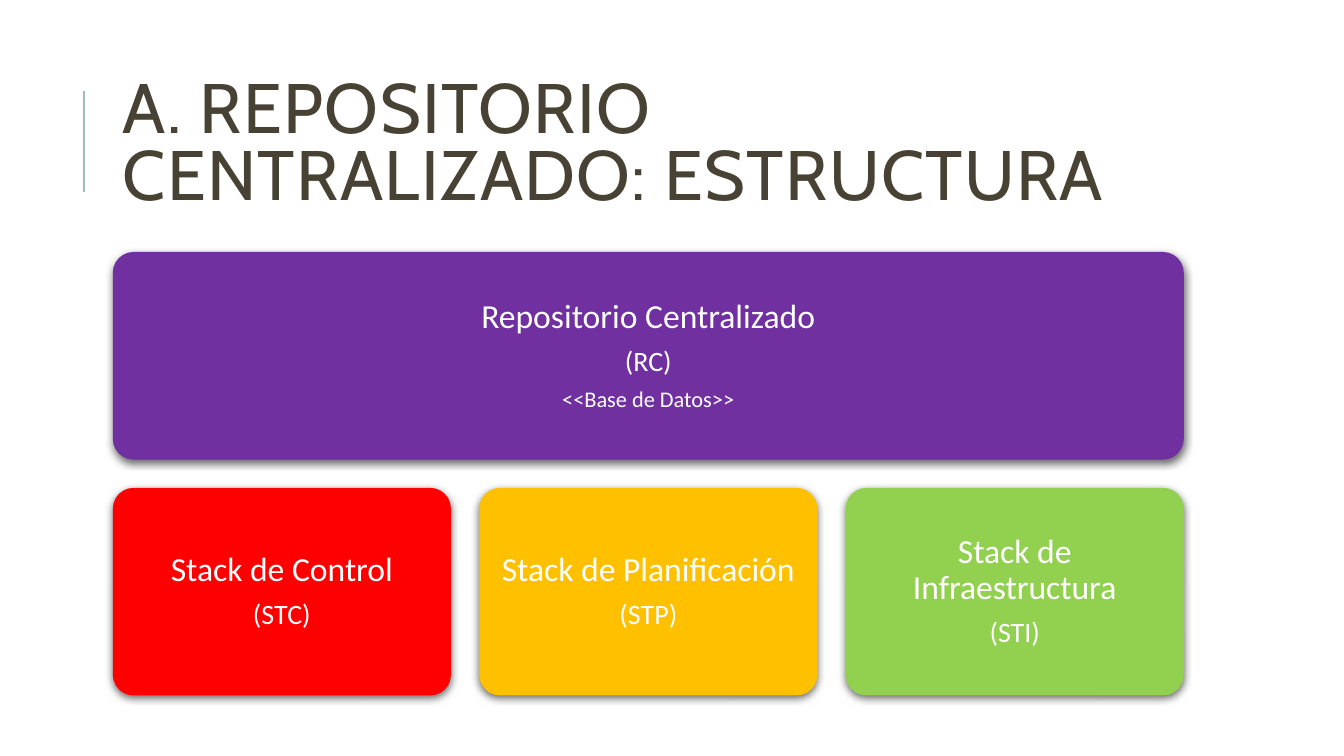
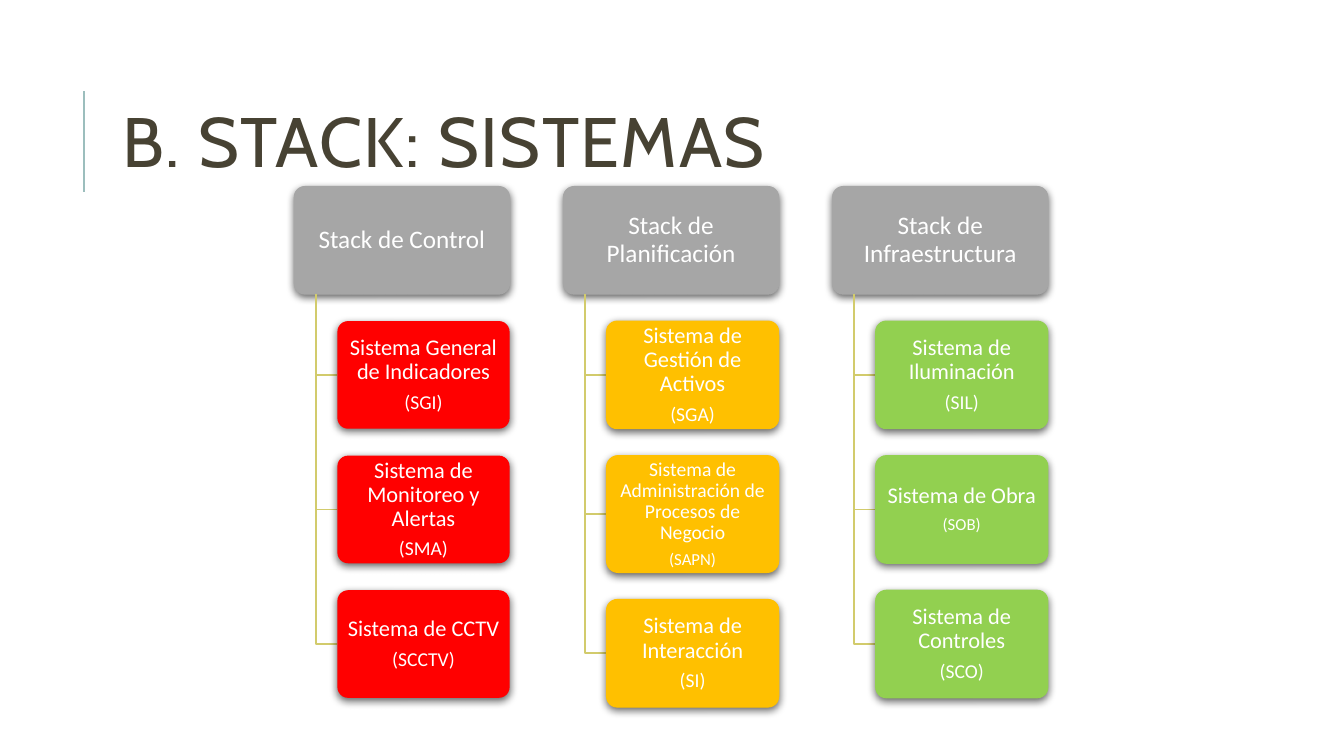
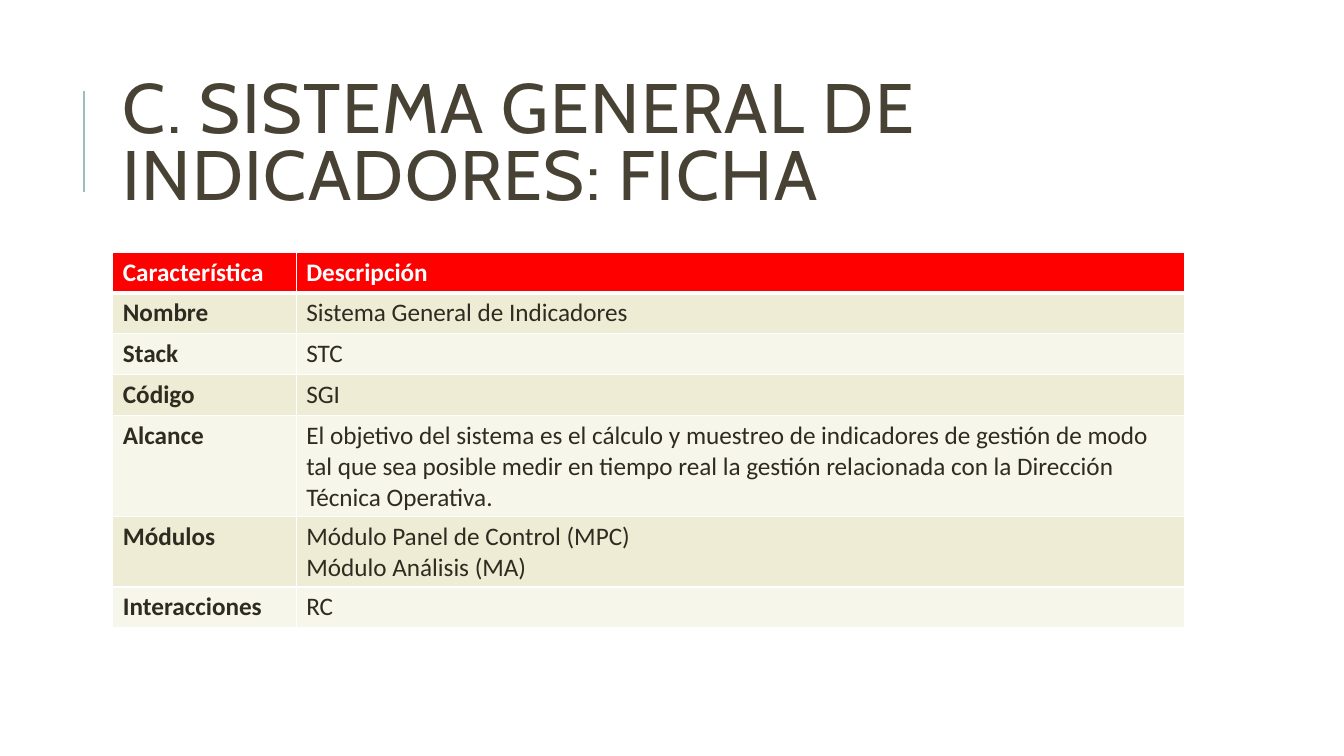
from lxml.etree import SubElement
from pptx import Presentation
from pptx.dml.color import RGBColor
from pptx.enum.shapes import MSO_CONNECTOR, MSO_SHAPE
from pptx.enum.text import MSO_ANCHOR, PP_ALIGN
from pptx.oxml.ns import qn
from pptx.util import Pt

WHITE = RGBColor(0xFF, 0xFF, 0xFF)
TITLE_BROWN = RGBColor(0x47, 0x42, 0x33)
TEXT_BROWN = RGBColor(0x2E, 0x2B, 0x21)
RULE_TEAL = RGBColor(0x9C, 0xBE, 0xBD)
BRANCH_OLIVE = RGBColor(0xD2, 0xCB, 0x6C)
PURPLE = RGBColor(0x70, 0x30, 0xA0)
RED = RGBColor(0xFF, 0x00, 0x00)
AMBER = RGBColor(0xFF, 0xC0, 0x00)
GREEN = RGBColor(0x92, 0xD0, 0x50)
GRAY = RGBColor(0xA6, 0xA6, 0xA6)
BAND_DARK = RGBColor(0xEE, 0xEC, 0xD4)
BAND_LIGHT = RGBColor(0xF7, 0xF6, 0xEB)

LEFT, TOP, WIDTH = 80.6, 180, 765


class Deck:
    """Builds slides in one shared style, with lengths in points."""

    title_font = "Cabin"
    body_font = "Calibri"

    def __init__(self):
        self.presentation = Presentation()
        self.presentation.slide_width = Pt(960)
        self.presentation.slide_height = Pt(540)
        self.slide = None

    def add_slide(self, title):
        layout = self.presentation.slide_layouts[6]
        self.slide = self.presentation.slides.add_slide(layout)
        self.add_rule(60, 136.8, 64.8)
        self.add_title(title)

    def add_rule(self, x, start, end):
        rule = self.slide.shapes.add_connector(
            MSO_CONNECTOR.STRAIGHT, Pt(x), Pt(start), Pt(x), Pt(end))
        rule.line.color.rgb = RULE_TEAL
        rule.line.width = Pt(1.5)
        SubElement(rule._element.spPr, qn("a:effectLst"))

    def add_title(self, title):
        shape = self.slide.shapes.add_textbox(Pt(LEFT), Pt(46.1), Pt(WIDTH), Pt(118.1))
        frame = shape.text_frame
        frame.word_wrap = True
        frame.vertical_anchor = MSO_ANCHOR.MIDDLE
        frame.text = title
        paragraph = frame.paragraphs[0]
        paragraph.line_spacing = 0.8
        self.set_font(paragraph, self.title_font, 50, TITLE_BROWN)
        paragraph.runs[0].font._element.set("spc", "100")

    def set_font(self, paragraph, name, size, color, bold=False):
        font = paragraph.font
        font.name = name
        font.size = Pt(size)
        font.bold = bold
        font.color.rgb = color

    def add_shadow(self, shape):
        shape.shadow.inherit = False
        effects = shape._element.spPr.find(qn("a:effectLst"))
        shadow = SubElement(effects, qn("a:outerShdw"), blurRad=str(Pt(6)),
                            dist=str(Pt(2)), dir="5400000", rotWithShape="0")
        color = SubElement(shadow, qn("a:srgbClr"), val="000000")
        SubElement(color, qn("a:alpha"), val="60000")

    def add_box(self, left, top, width, height, color, lines, margins, outlined=False):
        shape = self.slide.shapes.add_shape(
            MSO_SHAPE.ROUNDED_RECTANGLE, Pt(left), Pt(top), Pt(width), Pt(height))
        shape.adjustments[0] = 0.1
        shape.fill.solid()
        shape.fill.fore_color.rgb = color
        if outlined:
            shape.line.color.rgb = color
            shape.line.width = Pt(0.75)
        else:
            shape.line.fill.background()
        self.add_shadow(shape)
        frame = shape.text_frame
        frame.word_wrap = True
        frame.vertical_anchor = MSO_ANCHOR.MIDDLE
        frame.margin_left = frame.margin_right = Pt(margins[0])
        frame.margin_top = frame.margin_bottom = Pt(margins[1])
        frame.text = "\n".join(text for text, size in lines)
        for paragraph, (text, size) in zip(frame.paragraphs, lines):
            paragraph.alignment = PP_ALIGN.CENTER
            paragraph.line_spacing = 0.9
            paragraph.space_after = Pt(0.35 * size)
            self.set_font(paragraph, self.body_font, size, WHITE)

    def add_branch(self, x, y, end_x, end_y):
        builder = self.slide.shapes.build_freeform(Pt(x), Pt(y))
        builder.add_line_segments([(Pt(x), Pt(end_y)), (Pt(end_x), Pt(end_y))], close=False)
        shape = builder.convert_to_shape()
        shape.fill.background()
        shape.line.color.rgb = BRANCH_OLIVE
        shape.line.width = Pt(1.25)
        shape.shadow.inherit = False

    def add_table(self, left, top, column_widths, row_height, rows):
        table = self.slide.shapes.add_table(
            len(rows), len(column_widths), Pt(left), Pt(top),
            Pt(sum(column_widths)), Pt(row_height * len(rows))).table
        for column, width in zip(table.columns, column_widths):
            column.width = Pt(width)
        for row_index, texts in enumerate(rows):
            header = row_index == 0
            band = BAND_DARK if row_index % 2 else BAND_LIGHT
            for column_index, text in enumerate(texts):
                cell = table.cell(row_index, column_index)
                self.set_borders(cell, top=3 if row_index == 1 else 1, bottom=3 if header else 1)
                cell.fill.solid()
                cell.fill.fore_color.rgb = RED if header else band
                cell.text = text
                for paragraph in cell.text_frame.paragraphs:
                    self.set_font(paragraph, self.body_font, 18,
                                  WHITE if header else TEXT_BROWN,
                                  bold=header or column_index == 0)

    def set_borders(self, cell, top, bottom):
        properties = cell._tc.get_or_add_tcPr()
        for side, width in (("lnL", 1), ("lnR", 1), ("lnT", top), ("lnB", bottom)):
            border = SubElement(properties, qn(f"a:{side}"), w=str(Pt(width)))
            fill = SubElement(border, qn("a:solidFill"))
            SubElement(fill, qn("a:srgbClr"), val=str(WHITE))


def add_structure_slide(deck):
    deck.add_slide("A. REPOSITORIO CENTRALIZADO: ESTRUCTURA")
    height, gap, margins = 148.3, 20.2, (7.2, 7.2)
    repository = [("Repositorio Centralizado", 24), ("(RC)", 20), ("<<Base de Datos>>", 16)]
    deck.add_box(LEFT, TOP, WIDTH, height, PURPLE, repository, margins)
    stacks = [
        ("Stack de Control", "(STC)", RED),
        ("Stack de Planificación", "(STP)", AMBER),
        ("Stack de Infraestructura", "(STI)", GREEN),
    ]
    width = (WIDTH - 2 * gap) / 3
    for index, (name, code, color) in enumerate(stacks):
        deck.add_box(LEFT + index * (width + gap), TOP + height + gap, width, height,
                     color, [(name, 24), (code, 20)], margins)


def add_systems_slide(deck):
    deck.add_slide("B. STACK: SISTEMAS")
    left, top, height = 210.2, 133.2, 76.9
    width, gap = 2 * height, height / 4
    stacks = [
        ("Stack de Control", RED, False, [
            ("Sistema General de Indicadores", 16, "(SGI)", 14, height),
            ("Sistema de Monitoreo y Alertas", 16, "(SMA)", 14, height),
            ("Sistema de CCTV", 16, "(SCCTV)", 14, height)]),
        ("Stack de Planificación", AMBER, True, [
            ("Sistema de Gestión de Activos", 16, "(SGA)", 14, height),
            ("Sistema de Administración de Procesos de Negocio", 14, "(SAPN)", 12, 83.5),
            ("Sistema de Interacción", 16, "(SI)", 14, height)]),
        ("Stack de Infraestructura", GREEN, True, [
            ("Sistema de Iluminación", 16, "(SIL)", 14, height),
            ("Sistema de Obra", 16, "(SOB)", 12, height),
            ("Sistema de Controles", 16, "(SCO)", 14, height)]),
    ]
    for index, (stack, color, outlined, systems) in enumerate(stacks):
        stack_left = left + index * 1.25 * width
        system_left = stack_left + 0.2 * width
        system_top = top + height + gap
        deck.add_box(stack_left, top, width, height, GRAY, [(stack, 18)], (2.7, 1.8), True)
        for name, name_size, code, code_size, system_height in systems:
            deck.add_branch(stack_left + 0.1 * width, top + height,
                            system_left, system_top + system_height / 2)
            deck.add_box(system_left, system_top, 0.8 * width, system_height, color,
                         [(name, name_size), (code, code_size)], (2.4, 1.6), outlined)
            system_top += system_height + gap


def add_record_slide(deck):
    deck.add_slide("C. SISTEMA GENERAL DE INDICADORES: FICHA")
    scope = ("El objetivo del sistema es el cálculo y muestreo de indicadores de gestión "
             "de modo tal que sea posible medir en tiempo real la gestión relacionada "
             "con la Dirección Técnica Operativa.")
    deck.add_table(LEFT, TOP, [131, 634.3], 29.2, [
        ("Característica", "Descripción"),
        ("Nombre", "Sistema General de Indicadores"),
        ("Stack", "STC"),
        ("Código", "SGI"),
        ("Alcance", scope),
        ("Módulos", "Módulo Panel de Control (MPC)\nMódulo Análisis (MA)"),
        ("Interacciones", "RC"),
    ])


def main():
    deck = Deck()
    add_structure_slide(deck)
    add_systems_slide(deck)
    add_record_slide(deck)
    deck.presentation.save("out.pptx")


if __name__ == "__main__":
    main()
